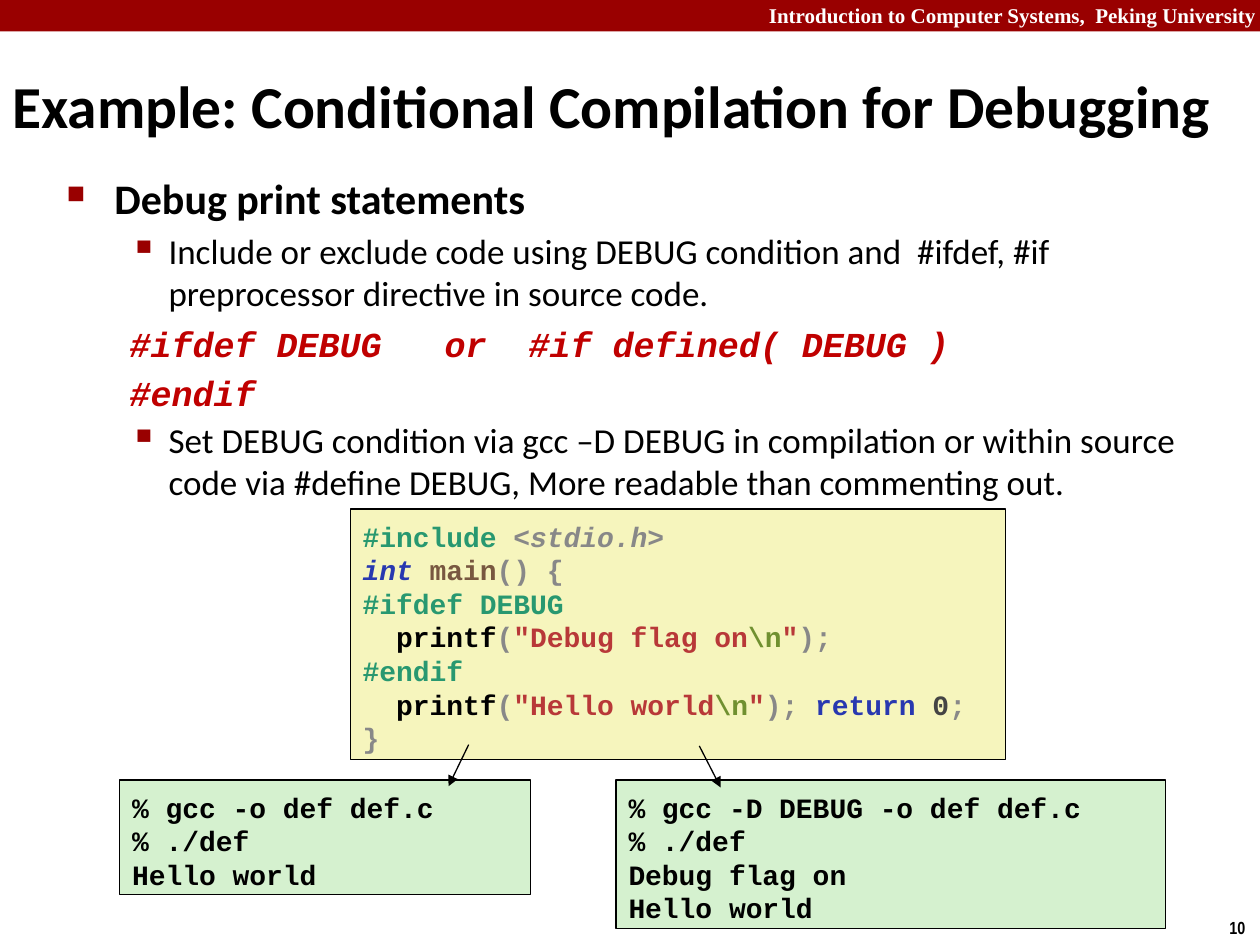
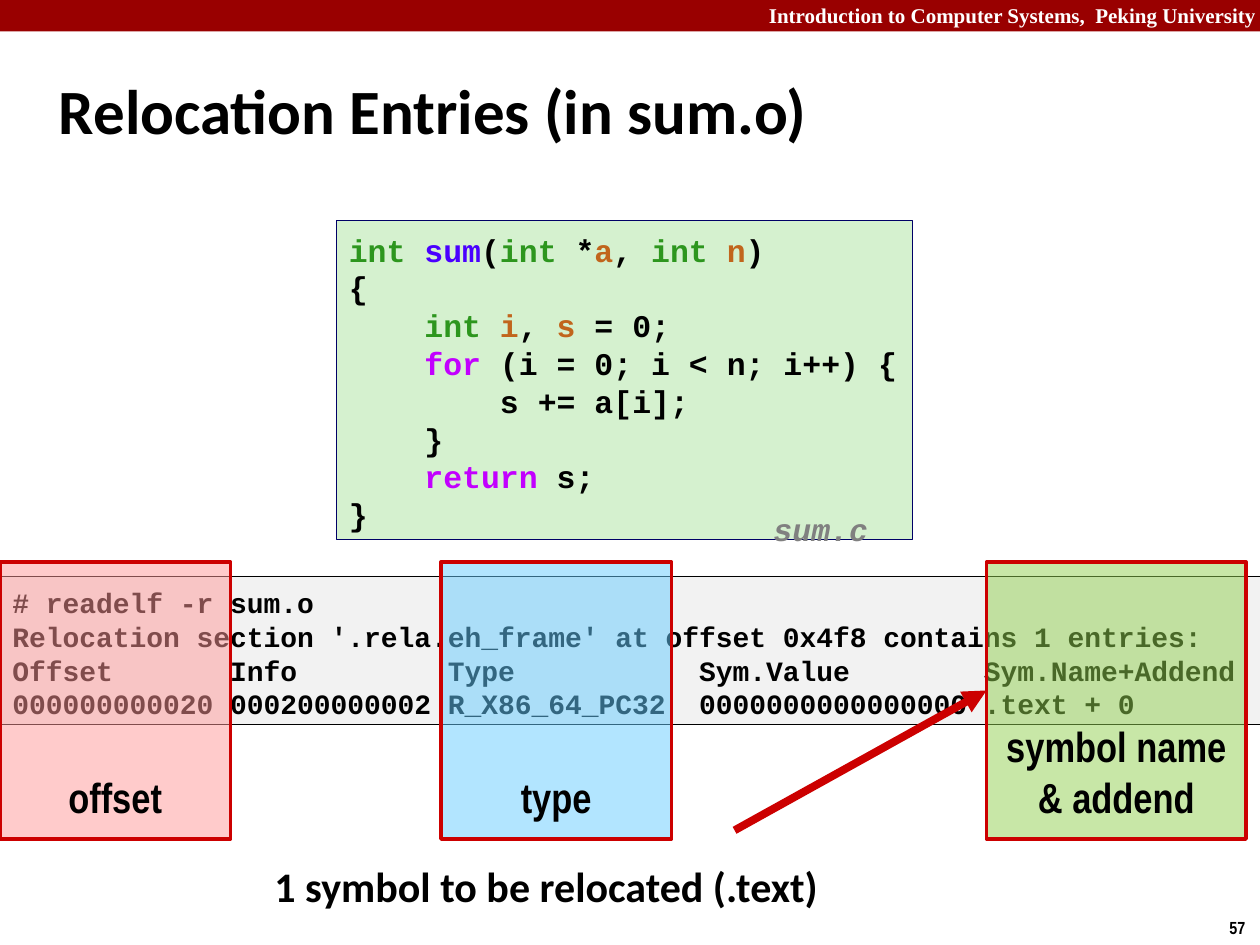
from typing import NamedTuple, Optional

from lxml.etree import SubElement
from pptx import Presentation
from pptx.dml.color import RGBColor
from pptx.enum.shapes import MSO_CONNECTOR, MSO_SHAPE
from pptx.enum.text import MSO_ANCHOR, PP_ALIGN
from pptx.oxml.ns import qn
from pptx.util import Inches, Pt

# Colours
BLACK = RGBColor(0x00, 0x00, 0x00)
WHITE = RGBColor(0xFF, 0xFF, 0xFF)
BAND = RGBColor(0x99, 0x00, 0x00)
RED = RGBColor(0xCC, 0x00, 0x00)
DIRECTIVE = RGBColor(0xC0, 0x00, 0x00)
NAVY = RGBColor(0x00, 0x00, 0x66)
YELLOW_BOX = RGBColor(0xF6, 0xF5, 0xBD)
GREEN_BOX = RGBColor(0xD5, 0xF1, 0xCF)
GREY_BOX = RGBColor(0xF2, 0xF2, 0xF2)
PINK = RGBColor(0xFF, 0x99, 0x99)
SKY = RGBColor(0x66, 0xCC, 0xFF)
LIME = RGBColor(0x92, 0xD0, 0x50)
FILE_GREY = RGBColor(0x80, 0x80, 0x80)

# Syntax colours of the two code listings
MACRO = RGBColor(0x28, 0x98, 0x70)
PUNCT = RGBColor(0x88, 0x88, 0x88)
KEYWORD = RGBColor(0x28, 0x38, 0xB0)
FUNC = RGBColor(0x78, 0x58, 0x40)
STRING = RGBColor(0xB8, 0x38, 0x38)
ESCAPE = RGBColor(0x70, 0x90, 0x30)
NUMBER = RGBColor(0x44, 0x44, 0x44)
TYPE = RGBColor(0x2D, 0x96, 0x1E)
SUM_FUNC = RGBColor(0x4A, 0x00, 0xFF)
VARIABLE = RGBColor(0xC1, 0x65, 0x1C)
CONTROL = RGBColor(0xC2, 0x00, 0xFF)

SANS, NARROW, MONO, SERIF = "Calibri", "Arial Narrow", "Courier New", "Times New Roman"
MONO_LEADING = 1.2
MONO_TOP = 0.08


class Span(NamedTuple):
    text: str
    color: RGBColor = BLACK
    italic: bool = False


class Bullet(NamedTuple):
    char: str
    percent: int


class CodeBox(NamedTuple):
    at: tuple
    lines: list
    fill: RGBColor
    size: int = 16
    line: RGBColor = BLACK
    weight: float = 0.75


class Column(NamedTuple):
    left: float
    width: float
    label: list
    fill: RGBColor


class Arrow(NamedTuple):
    start: tuple
    end: tuple
    color: RGBColor = BLACK
    weight: float = 0.75


# Text
def add_para(tf, content, *, size, font=SANS, color=BLACK, bold=True, italic=False,
             align=PP_ALIGN.LEFT, bullet: Optional[Bullet] = None, left=0.0,
             hang=0.0, tab=None, before=0.0, spacing=None):
    """Fill the empty first paragraph or append one; content is a string or spans."""
    first = tf.paragraphs[0]
    p = tf.add_paragraph() if first.runs else first
    pPr = p._p.get_or_add_pPr()
    if left:
        pPr.set("marL", str(Inches(left)))
        pPr.set("indent", str(-Inches(hang)))
    if bullet:
        clr = SubElement(pPr, qn("a:buClr"))
        SubElement(clr, qn("a:srgbClr"), val=str(BAND))
        SubElement(pPr, qn("a:buSzPct"), val=str(bullet.percent * 1000))
        SubElement(pPr, qn("a:buChar"), char=bullet.char)
    if tab:
        tabs = SubElement(pPr, qn("a:tabLst"))
        SubElement(tabs, qn("a:tab"), pos=str(Inches(tab)), algn="l")
    p.alignment = align
    p.space_before = Pt(before)
    if spacing:
        p.line_spacing = spacing
    spans = [Span(content, color, italic)] if isinstance(content, str) else content
    for span in spans:
        r = p.add_run()
        r.text = span.text
        f = r.font
        f.name, f.size, f.bold, f.italic = font, Pt(size), bold, span.italic
        f.color.rgb = span.color


def add_frame(slide, at, *, wrap=True, anchor=MSO_ANCHOR.TOP, top=0.05):
    tf = slide.shapes.add_textbox(*map(Inches, at)).text_frame
    tf.word_wrap, tf.vertical_anchor, tf.margin_top = wrap, anchor, Inches(top)
    return tf


def add_label(slide, at, text: str, *, wrap=True, anchor=MSO_ANCHOR.TOP, top=0.05, **style):
    add_para(add_frame(slide, at, wrap=wrap, anchor=anchor, top=top), text, **style)


# Shapes
def add_rect(slide, at, fill: RGBColor, line: Optional[RGBColor] = None, weight=0.75):
    sp = slide.shapes.add_shape(MSO_SHAPE.RECTANGLE, *map(Inches, at))
    sp.shadow.inherit = False
    sp.fill.solid()
    sp.fill.fore_color.rgb = fill
    if line is None:
        sp.line.fill.background()
    else:
        sp.line.color.rgb = line
        sp.line.width = Pt(weight)
    return sp


def add_code(slide, box: CodeBox):
    tf = add_rect(slide, box.at, box.fill, box.line, box.weight).text_frame
    tf.word_wrap, tf.vertical_anchor = False, MSO_ANCHOR.TOP
    tf.margin_top = Inches(MONO_TOP)
    for line in box.lines:
        add_para(tf, line, size=box.size, font=MONO, spacing=Pt(box.size * MONO_LEADING))


def add_column(slide, col: Column):
    sp = add_rect(slide, (col.left, 4.46, col.width, 2.2), col.fill, RED, 2)
    clr = sp.fill._xPr.find(qn("a:solidFill")).find(qn("a:srgbClr"))
    SubElement(clr, qn("a:alpha"), val="50000")
    tf = sp.text_frame
    tf.word_wrap, tf.vertical_anchor = True, MSO_ANCHOR.BOTTOM
    tf.margin_bottom = Inches(0.14)
    for text in col.label:
        add_para(tf, text, size=24, font=NARROW, align=PP_ALIGN.CENTER)


def add_arrow(slide, arrow: Arrow):
    cx = slide.shapes.add_connector(MSO_CONNECTOR.STRAIGHT,
                                    *map(Inches, arrow.start + arrow.end))
    cx.line.color.rgb = arrow.color
    cx.line.width = Pt(arrow.weight)
    SubElement(cx.line._get_or_add_ln(), qn("a:tailEnd"), type="triangle")
    SubElement(cx._element.spPr, qn("a:effectLst"))


# Band, course name, page number and title of every slide
def new_slide(prs, number: int, title: str, at, size: int, spacing=None):
    slide = prs.slides.add_slide(prs.slide_layouts[6])
    add_rect(slide, (0, 0, 10, 0.25), BAND)
    add_label(slide, (6, -0.03, 4.07, 0.3),
              "Introduction to Computer Systems,  Peking University",
              size=12, font=SERIF, color=WHITE, align=PP_ALIGN.RIGHT)
    add_label(slide, (9.66, 7.23, 0.34, 0.27), str(number), wrap=False,
              size=10, font=NARROW)
    add_label(slide, at, title, anchor=MSO_ANCHOR.MIDDLE, size=size, spacing=spacing)
    return slide


def print_call(message: str) -> list:
    return [Span("  printf"), Span("(", PUNCT), Span('"' + message, STRING),
            Span("\\n", ESCAPE), Span('"', STRING)]


def debugging_slide(prs):
    slide = new_slide(prs, 10, "Example: Conditional Compilation for Debugging",
                      (0, 0.42, 10, 0.83), 34)

    # Bulleted text with the directive in between
    tf = add_frame(slide, (0.43, 1.32, 9.07, 2.7))
    point = dict(size=20, bold=False, bullet=Bullet("▪", 110), left=0.81, hang=0.31)
    directive = dict(size=20, font=MONO, color=DIRECTIVE, italic=True, left=0.5,
                     spacing=Pt(20 * MONO_LEADING))
    add_para(tf, "Debug print statements", size=24, bullet=Bullet("■", 60),
             left=0.38, hang=0.38)
    add_para(tf, "Include or exclude code using DEBUG condition and  #ifdef, #if "
             "preprocessor directive in source code.", before=4, **point)
    add_para(tf, "#ifdef DEBUG\tor  #if defined( DEBUG )", before=5, tab=4, **directive)
    add_para(tf, "#endif", before=4, **directive)
    add_para(tf, "Set DEBUG condition via gcc –D DEBUG in compilation or within source "
             "code via #define DEBUG, More readable than commenting out.",
             before=3, **point)

    # Program and its two runs
    program = [
        [Span("#include ", MACRO), Span("<stdio.h>", PUNCT, True)],
        [Span("int ", KEYWORD, True), Span("main", FUNC), Span("() {", PUNCT)],
        [Span("#ifdef DEBUG", MACRO)],
        print_call("Debug flag on") + [Span(");", PUNCT)],
        [Span("#endif", MACRO)],
        print_call("Hello world") + [Span("); ", PUNCT), Span("return ", KEYWORD),
                                     Span("0", NUMBER), Span(";", PUNCT)],
        [Span("}", PUNCT)],
    ]
    plain_run = ["% gcc -o def def.c", "% ./def", "Hello world"]
    debug_run = ["% gcc -D DEBUG -o def def.c", "% ./def", "Debug flag on", "Hello world"]
    for box in (CodeBox((2.78, 4.04, 5.2, 1.99), program, YELLOW_BOX),
                CodeBox((0.95, 6.19, 3.26, 0.91), plain_run, GREEN_BOX),
                CodeBox((4.89, 6.19, 4.36, 1.18), debug_run, GREEN_BOX)):
        add_code(slide, box)
    for arrow in (Arrow((3.72, 5.91), (3.56, 6.24)), Arrow((5.55, 5.92), (5.72, 6.25))):
        add_arrow(slide, arrow)


def relocation_slide(prs):
    slide = new_slide(prs, 57, "Relocation Entries (in sum.o)",
                      (0.37, 0.49, 9.53, 0.86), 36, spacing=0.82)

    # Source function and the relocation listing
    function = [
        [Span("int ", TYPE), Span("sum", SUM_FUNC), Span("("), Span("int", TYPE),
         Span(" *"), Span("a", VARIABLE), Span(", "), Span("int ", TYPE),
         Span("n", VARIABLE), Span(")")],
        "{",
        [Span("    int ", TYPE), Span("i", VARIABLE), Span(", "), Span("s", VARIABLE),
         Span(" = 0;")],
        [Span("    for", CONTROL), Span(" (i = 0; i < n; i++) {")],
        "        s += a[i];",
        "    }",
        [Span("    return", CONTROL), Span(" s;")],
        "}",
    ]
    listing = [
        "# readelf -r sum.o",
        "Relocation section '.rela.eh_frame' at offset 0x4f8 contains 1 entries:",
        "Offset       Info         Type           Sym.Value        Sym.Name+Addend",
        "000000000020 000200000002 R_X86_64_PC32  0000000000000000 .text + 0",
    ]
    add_code(slide, CodeBox((2.67, 1.75, 4.57, 2.53), function, GREEN_BOX, 18, NAVY, 0.25))
    add_code(slide, CodeBox((0, 4.57, 10, 1.18), listing, GREY_BOX, weight=0.25))
    add_label(slide, (6.04, 3.99, 0.95, 0.39), "sum.c", wrap=False, top=MONO_TOP,
              size=18, font=MONO, color=FILE_GREY, italic=True, spacing=Pt(20))

    # Highlighted fields
    for col in (Column(3.5, 1.83, ["type"], SKY),
                Column(0, 1.83, ["offset"], PINK),
                Column(7.83, 2.06, ["symbol name", "& addend"], LIME)):
        add_column(slide, col)
    add_arrow(slide, Arrow((5.83, 6.59), (7.83, 5.48), RED, 4.5))
    add_label(slide, (2.08, 6.78, 5.75, 0.5), "1 symbol to be relocated (.text)", size=24)


def main():
    prs = Presentation()
    prs.slide_width, prs.slide_height = Inches(10), Inches(7.5)
    debugging_slide(prs)
    relocation_slide(prs)
    prs.save("out.pptx")


if __name__ == "__main__":
    main()
